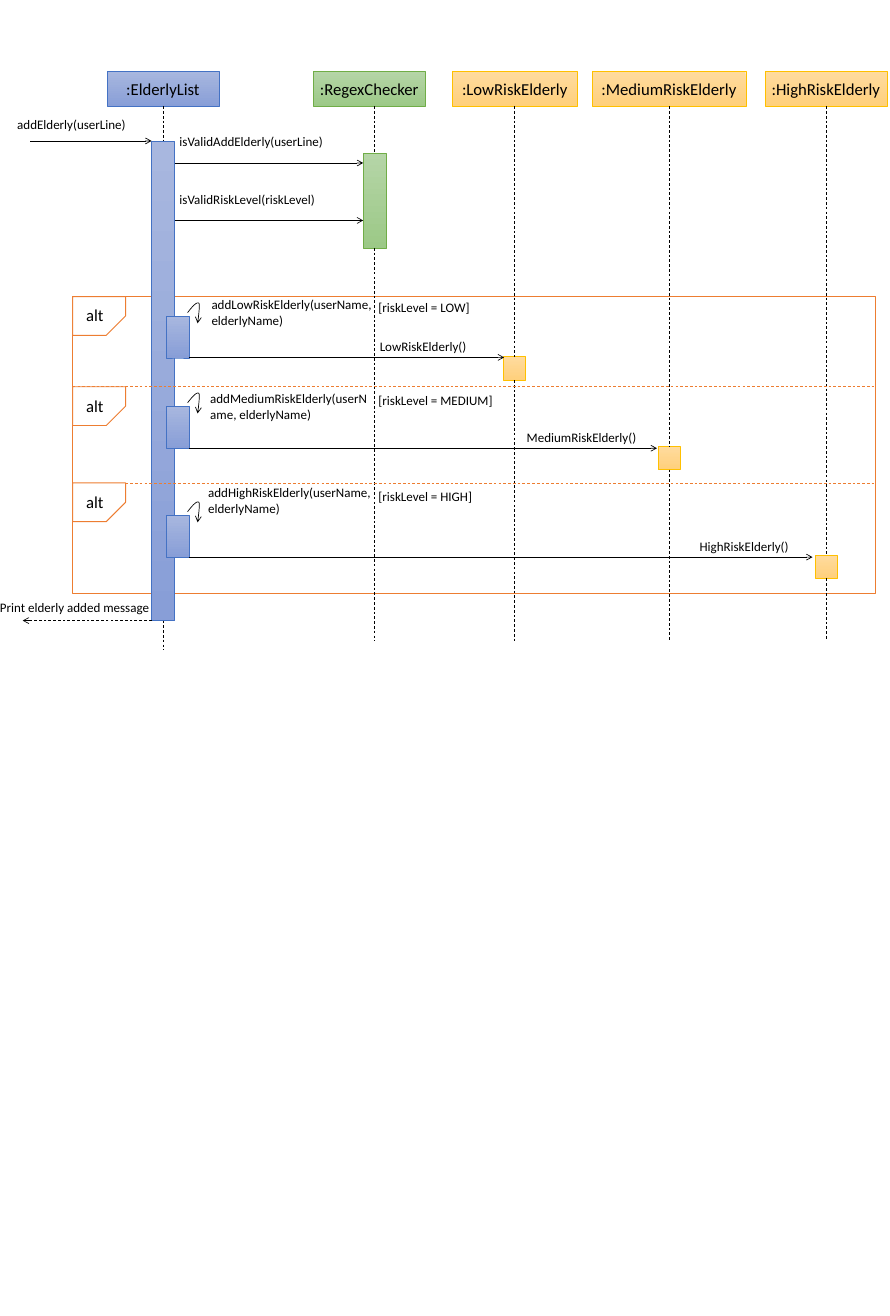
import pptx
import pptx.dml.color
import pptx.enum.dml
import pptx.enum.shapes
import pptx.enum.text
import pptx.oxml
import pptx.oxml.ns
import pptx.util

Inches, Pt = pptx.util.Inches, pptx.util.Pt
RGBColor = pptx.dml.color.RGBColor
SHAPE = pptx.enum.shapes.MSO_SHAPE
ANCHOR, ALIGN = pptx.enum.text.MSO_ANCHOR, pptx.enum.text.PP_ALIGN

BLACK = RGBColor(0x00, 0x00, 0x00)
WHITE = RGBColor(0xFF, 0xFF, 0xFF)
ORANGE = RGBColor(0xED, 0x7D, 0x31)
# Gradient top, gradient bottom, outline
BLUE = (RGBColor(0xA8, 0xB7, 0xDF), RGBColor(0x88, 0x9E, 0xD7), RGBColor(0x44, 0x72, 0xC4))
GREEN = (RGBColor(0xB5, 0xD5, 0xA7), RGBColor(0x9C, 0xC9, 0x87), RGBColor(0x70, 0xAD, 0x47))
GOLD = (RGBColor(0xFF, 0xDB, 0x9E), RGBColor(0xFF, 0xD0, 0x7C), RGBColor(0xFF, 0xC0, 0x00))

HEADER_TOP, HEADER_H = 1.07, 0.52
BAR_W = 0.35
FRAME_X, FRAME_Y, FRAME_W, FRAME_H = 1.09, 4.44, 12.03, 4.44
NESTED_X, NESTED_H = 2.49, 0.63
GUARD_X = 5.57

# name, lifeline x, header shift, header width, colours, bar width, bar top, bar bottom, lifeline end
PARTICIPANTS = [
    (":ElderlyList", 2.44, 0, 1.68, BLUE, BAR_W, 2.11, 9.29, 9.73),
    (":RegexChecker", 5.61, -0.08, 1.68, GREEN, BAR_W, 2.29, 3.71, 9.59),
    (":LowRiskElderly", 7.71, 0, 1.86, GOLD, 0.33, 5.34, 5.69, 9.59),
    (":MediumRiskElderly", 10.02, 0, 2.3, GOLD, 0.33, 6.68, 7.03, 9.59),
    (":HighRiskElderly", 12.37, 0, 1.83, GOLD, 0.33, 8.31, 8.66, 9.59),
]
# tag top, nested bar top, guard, guard top, self call, its left, top and width
BRANCHES = [
    (4.44, 4.73, "[riskLevel = LOW]", 4.43,
     "addLowRiskElderly(userName, elderlyName)", 3.07, 4.39, 3.1),
    (5.79, 6.08, "[riskLevel = MEDIUM]", 5.82,
     "addMediumRiskElderly(userName, elderlyName)", 3.05, 5.8, 2.55),
    (7.23, 7.71, "[riskLevel = HIGH]", 7.26,
     "addHighRiskElderly(userName, elderlyName)", 3.02, 7.21, 3.1),
]
# label, label left, top and width, arrow start x, end x, y, dashed
MESSAGES = [
    ("addElderly(userLine)", 0.16, 1.7, 4.22, 0.45, 2.27, 2.11, False),
    ("isValidAddElderly(userLine)", 2.59, 1.95, 3.1, 2.62, 5.44, 2.44, False),
    ("isValidRiskLevel(riskLevel)", 2.59, 2.82, 3.1, 2.62, 5.44, 3.3, False),
    ("LowRiskElderly()", 5.59, 5.02, 3.1, 2.83, 7.55, 5.35, False),
    ("MediumRiskElderly()", 7.79, 6.38, 1.88, 2.83, 9.84, 6.71, False),
    ("HighRiskElderly()", 10.38, 8.01, 1.88, 2.83, 12.17, 8.34, False),
    ("Print elderly added message", -0.1, 8.93, 4.22, 2.27, 0.34, 9.29, True),
]
# Two Bézier segments of a self-call arrow, relative to its start
SELF_CALL = [
    ((0, 0), (0.07, -0.09), (0.14, -0.17), (0.17, -0.14)),
    ((0.17, -0.14), (0.19, -0.11), (0.15, 0.16), (0.15, 0.16)),
]

prs = pptx.Presentation()
prs.slide_width, prs.slide_height = Inches(13.33), Inches(19.7)
s = prs.slides.add_slide(prs.slide_layouts[6])


def write(tf, text, size, **frame):
    for key, value in frame.items():
        setattr(tf, key, value)
    r = tf.paragraphs[0].add_run()
    r.text = text
    for key, value in {"size": Pt(size), "name": "Calibri"}.items():
        setattr(r.font, key, value)
    r.font.color.rgb = BLACK


def add_label(text, x, y, w, h=0.34, size=14):
    sp = s.shapes.add_textbox(Inches(x), Inches(y), Inches(w), Inches(h))
    write(sp.text_frame, text, size, word_wrap=True)


def add_box(kind, x, y, w, h, colors=None):
    """Add a gradient box, or a white one with an orange outline if no colours are given."""
    sp = s.shapes.add_shape(kind, Inches(x), Inches(y), Inches(w), Inches(h))
    sp.shadow.inherit = False
    if colors:
        sp.fill.gradient()
        sp.fill.gradient_angle = 270
        for stop, color in zip(sp.fill.gradient_stops, colors):
            stop.color.rgb = color
    else:
        sp.fill.solid()
        sp.fill.fore_color.rgb = WHITE
    sp.line.color.rgb = colors[2] if colors else ORANGE
    sp.line.width = Pt(0.5 if colors else 1)
    return sp


def format_line(line, color=BLACK, dashed=False, arrow=False):
    line.color.rgb = color
    line.width = Pt(0.75)
    if dashed:
        line.dash_style = pptx.enum.dml.MSO_LINE.DASH
    if arrow:
        tail = pptx.oxml.parse_xml(
            f'<a:tailEnd {pptx.oxml.ns.nsdecls("a")} type="arrow"/>')
        line._get_or_add_ln().append(tail)


def add_line(x1, y1, x2, y2, **style):
    c = s.shapes.add_connector(pptx.enum.shapes.MSO_CONNECTOR.STRAIGHT,
                               Inches(x1), Inches(y1), Inches(x2), Inches(y2))
    format_line(c.line, **style)
    c._element.spPr.append(
        pptx.oxml.parse_xml(f'<a:effectLst {pptx.oxml.ns.nsdecls("a")}/>'))
    return c


def add_self_call(x, y, steps=12):
    points = []
    for curve in SELF_CALL:
        for i in range(1, steps + 1):
            t = i / steps
            weights = ((1 - t) ** 3, 3 * t * (1 - t) ** 2, 3 * t * t * (1 - t), t ** 3)
            dx, dy = (sum(w * p[axis] for w, p in zip(weights, curve)) for axis in (0, 1))
            points.append((Inches(x + dx), Inches(y + dy)))
    builder = s.shapes.build_freeform(Inches(x), Inches(y))
    builder.add_line_segments(points, close=False)
    sp = builder.convert_to_shape()
    sp.shadow.inherit = False
    sp.fill.background()
    format_line(sp.line, arrow=True)


add_box(SHAPE.RECTANGLE, FRAME_X, FRAME_Y, FRAME_W, FRAME_H)

for name, x, shift, w, colors, bar_w, top, bottom, end in PARTICIPANTS:
    header = add_box(SHAPE.RECTANGLE, x + shift - w / 2, HEADER_TOP, w, HEADER_H, colors)
    write(header.text_frame, name, 18, word_wrap=False, vertical_anchor=ANCHOR.MIDDLE)
    header.text_frame.paragraphs[0].alignment = ALIGN.CENTER
    bar = add_box(SHAPE.RECTANGLE, x - bar_w / 2, top, bar_w, bottom - top, colors)
    upper = add_line(x, HEADER_TOP + HEADER_H, x, top, dashed=True)
    if not shift:
        upper.begin_connect(header, 2)
    upper.end_connect(bar, 0)
    add_line(x, bottom, x, end, dashed=True).begin_connect(bar, 2)

for top, bar_top, guard, guard_top, call, call_x, call_top, call_w in BRANCHES:
    if top > FRAME_Y:
        add_line(FRAME_X, top, FRAME_X + FRAME_W, top, color=ORANGE, dashed=True)
    tag = add_box(SHAPE.SNIP_1_RECTANGLE, FRAME_X, top, 0.79, 0.58)
    tag.adjustments[0] = 0.5
    tag._element.spPr.xfrm.set("flipV", "1")
    add_label("alt", FRAME_X + 0.1, top + 0.08, 0.6, 0.4, 18)
    add_box(SHAPE.RECTANGLE, NESTED_X, bar_top, BAR_W, NESTED_H, BLUE)
    add_self_call(2.81, bar_top - 0.05)
    add_label(guard, GUARD_X, guard_top, 2.97)
    add_label(call, call_x, call_top, call_w, 0.57)

for text, x, y, w, start, end, line_y, dashed in MESSAGES:
    add_line(start, line_y, end, line_y, dashed=dashed, arrow=True)
    add_label(text, x, y, w)

prs.save("out.pptx")
